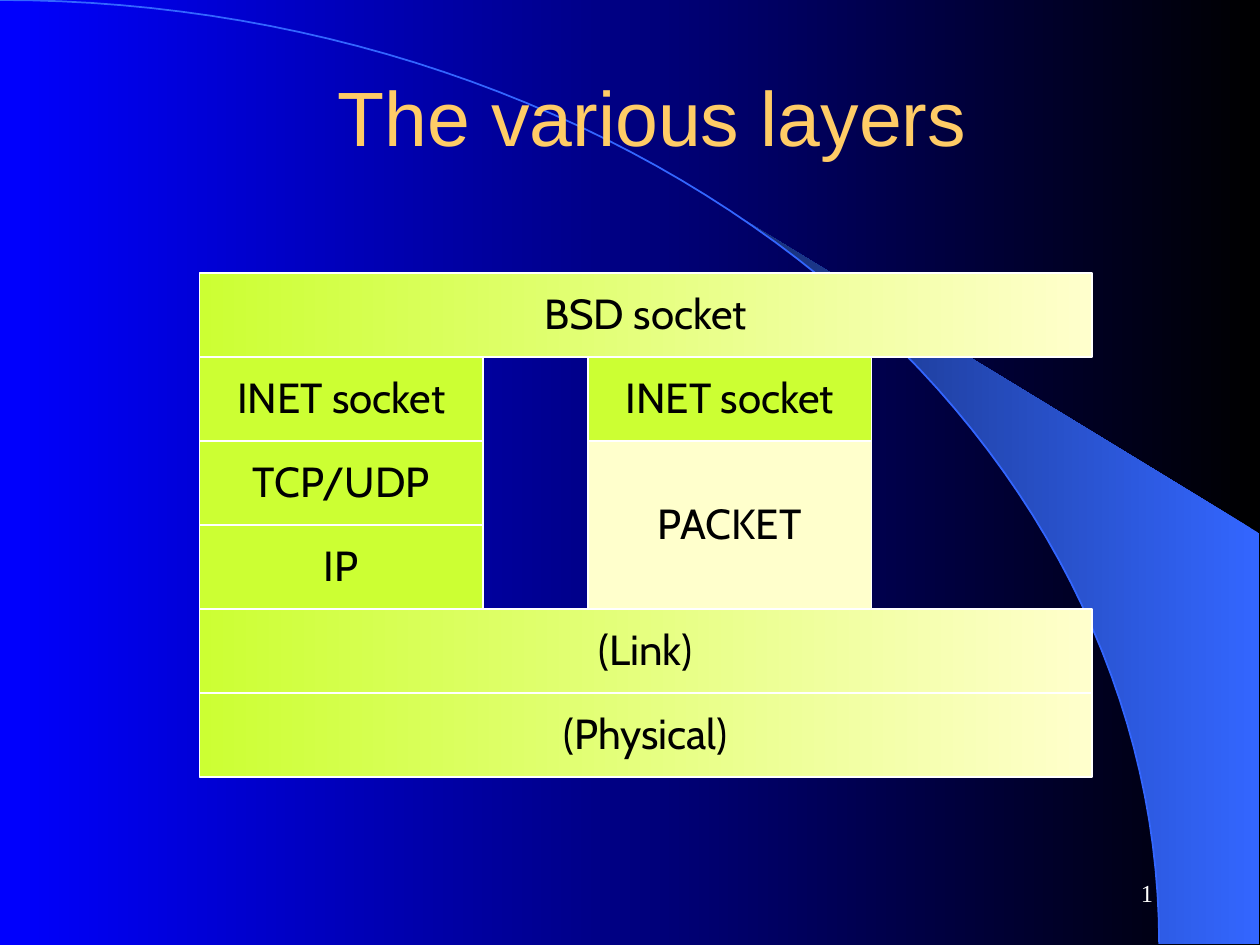
import math

import pptx
import pptx.dml.color
import pptx.enum.shapes
import pptx.enum.text
import pptx.util

Pt = pptx.util.Pt
ALIGN = pptx.enum.text.PP_ALIGN

COLORS = {
    "black": "000000",
    "blue": "0000FF",
    "arc": "3366FF",
    "arc_dark": "172F75",
    "title": "FFCC66",
    "white": "FFFFFF",
    "lime": "CCFF33",
    "cream": "FFFFCC",
}

SLIDE_WIDTH, SLIDE_HEIGHT = 720, 540
ARC_WIDTH, ARC_HEIGHT = 662.4, 539.3

STACK_TOP, ROW_HEIGHT = 156, 48
LEFT_COLUMN, RIGHT_COLUMN = 114, 336
FULL_WIDTH, COLUMN_WIDTH = 510, 162

# text, left, first row, rows, width, fill colours
LAYERS = [
    ("IP", LEFT_COLUMN, 3, 1, COLUMN_WIDTH, ["lime"]),
    ("TCP/UDP", LEFT_COLUMN, 2, 1, COLUMN_WIDTH, ["lime"]),
    ("INET socket", LEFT_COLUMN, 1, 1, COLUMN_WIDTH, ["lime"]),
    ("BSD socket", LEFT_COLUMN, 0, 1, FULL_WIDTH, ["cream", "lime"]),
    ("PACKET", RIGHT_COLUMN, 2, 2, COLUMN_WIDTH, ["cream"]),
    ("(Physical)", LEFT_COLUMN, 5, 1, FULL_WIDTH, ["cream", "lime"]),
    ("(Link)", LEFT_COLUMN, 4, 1, FULL_WIDTH, ["cream", "lime"]),
    ("INET socket", RIGHT_COLUMN, 1, 1, COLUMN_WIDTH, ["lime"]),
]


def rgb(name):
    return pptx.dml.color.RGBColor.from_string(COLORS[name])


def apply_fill(fill, names):
    """Fill solid for one colour name, or from right to left for two."""
    if len(names) == 1:
        fill.solid()
        fill.fore_color.rgb = rgb(names[0])
        return
    fill.gradient()
    fill.gradient_angle = 180
    for stop, name in zip(fill.gradient_stops, names):
        stop.color.rgb = rgb(name)


def write_text(shape, text, size, font, color, align, spacing=None):
    frame = shape.text_frame
    frame.word_wrap = True
    frame.vertical_anchor = pptx.enum.text.MSO_ANCHOR.MIDDLE
    para = frame.paragraphs[0]
    para.alignment = align
    para.line_spacing = spacing
    span = para.add_run()
    span.text = text
    span.font.size = Pt(size)
    span.font.name = font
    span.font.color.rgb = rgb(color)


def add_text(page, left, top, width, height, *text_style):
    box = page.shapes.add_textbox(Pt(left), Pt(top), Pt(width), Pt(height))
    write_text(box, *text_style)


def arc_points(end_angle, steps):
    """Points on the quarter ellipse, upwards from its lower right end."""
    angles = [end_angle * step / steps for step in range(steps + 1)]
    return [
        (ARC_WIDTH * math.cos(angle), ARC_HEIGHT * (1 - math.sin(angle)))
        for angle in angles
    ]


def add_outline(page, points, closed):
    corners = [(Pt(x), Pt(y)) for x, y in points]
    builder = page.shapes.build_freeform(*corners[0])
    builder.add_line_segments(corners[1:], close=closed)
    outline = builder.convert_to_shape()
    outline.shadow.inherit = False
    return outline


def add_backdrop(page):
    apply_fill(page.background.fill, ["black", "blue"])

    tip_angle = math.acos(424 / ARC_WIDTH)
    right_edge = [(719.3, 304.6), (719.3, ARC_HEIGHT)]
    beam = add_outline(page, arc_points(tip_angle, 24) + right_edge, True)
    apply_fill(beam.fill, ["arc", "arc_dark"])
    beam.line.fill.background()

    arc = add_outline(page, arc_points(math.pi / 2, 60), False)
    arc.fill.background()
    arc.line.color.rgb = rgb("arc")
    arc.line.width = Pt(1)


def add_layer(page, text, left, row, rows, width, fill_names):
    layer = page.shapes.add_shape(
        pptx.enum.shapes.MSO_SHAPE.RECTANGLE,
        Pt(left), Pt(STACK_TOP + row * ROW_HEIGHT),
        Pt(width), Pt(rows * ROW_HEIGHT),
    )
    layer.shadow.inherit = False
    apply_fill(layer.fill, fill_names)
    layer.line.color.rgb = rgb("white")
    layer.line.width = Pt(0.75)
    write_text(layer, text, 24, "Cabin", "black", ALIGN.CENTER, 0.96)


def main():
    deck = pptx.Presentation()
    deck.slide_width, deck.slide_height = Pt(SLIDE_WIDTH), Pt(SLIDE_HEIGHT)
    page = deck.slides.add_slide(deck.slide_layouts[6])

    add_backdrop(page)
    add_text(page, 516, 498, 150, 24,
             "1", 14, "Times New Roman", "white", ALIGN.RIGHT)
    add_text(page, 66, 39.6, 613.4, 58.3,
             "The various layers", 44, "Arial", "title", ALIGN.CENTER, 0.96)
    for layer in LAYERS:
        add_layer(page, *layer)

    deck.save("out.pptx")


if __name__ == "__main__":
    main()
